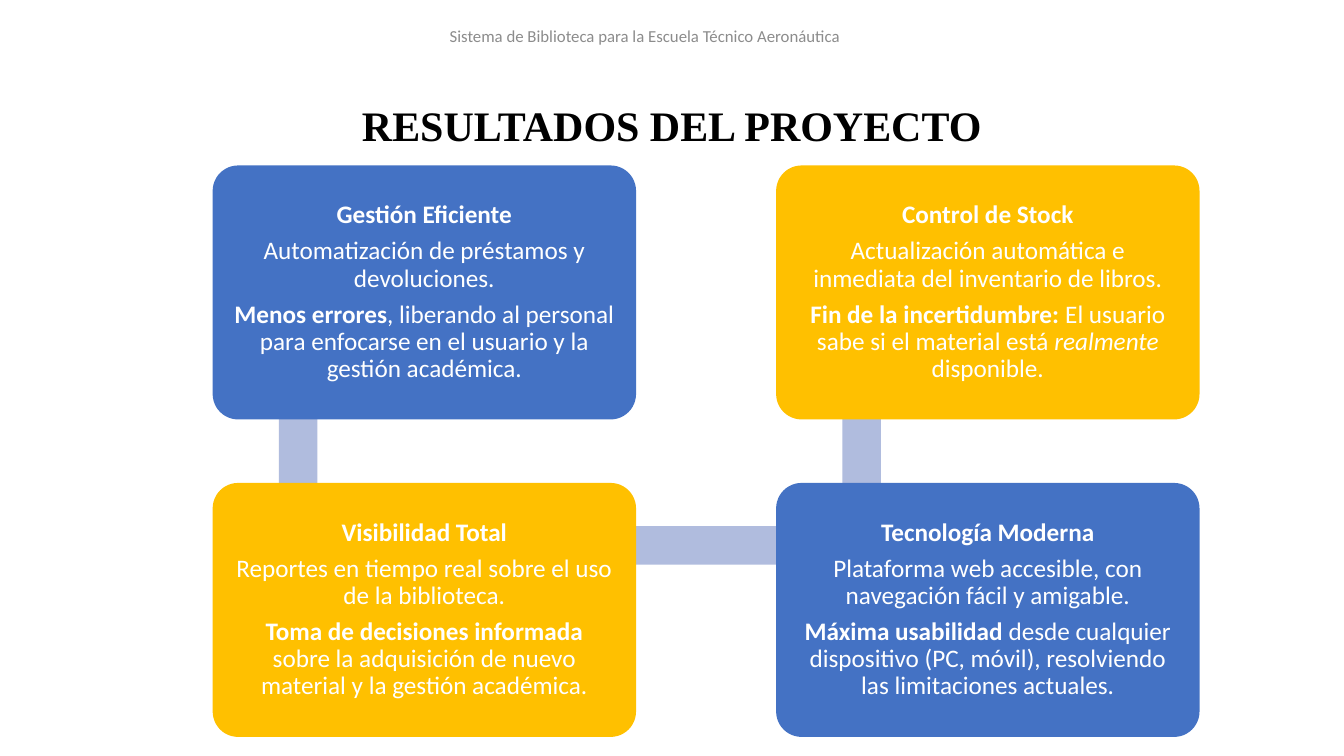
from pptx import Presentation
from pptx.dml.color import RGBColor
from pptx.enum.shapes import MSO_SHAPE
from pptx.enum.text import MSO_ANCHOR, PP_ALIGN
from pptx.util import Cm, Pt

# Content: text runs are (text, style), cards are (column, row, colour, paragraphs)
HEADER = "Sistema de Biblioteca para la Escuela Técnico Aeronáutica"
TITLE = "RESULTADOS DEL PROYECTO"
CARDS = [
    (0, 0, "blue", [
        [("Gestión Eficiente", "bold")],
        [("Automatización de préstamos y devoluciones.", "")],
        [("Menos errores", "bold"),
         (", liberando al personal para enfocarse en el usuario y la gestión académica.", "")],
    ]),
    (0, 1, "yellow", [
        [("Visibilidad Total", "bold")],
        [("Reportes en tiempo real sobre el uso de la biblioteca.", "")],
        [("Toma de decisiones informada", "bold"),
         (" sobre la adquisición de nuevo material y la gestión académica.", "")],
    ]),
    (1, 1, "blue", [
        [("Tecnología Moderna", "bold")],
        [("Plataforma web accesible, con navegación fácil y amigable.", "")],
        [("Máxima usabilidad", "bold"),
         (" desde cualquier dispositivo (PC, móvil), resolviendo las limitaciones actuales.", "")],
    ]),
    (1, 0, "yellow", [
        [("Control de Stock", "bold")],
        [("Actualización automática e inmediata del inventario de libros.", "")],
        [("Fin de la incertidumbre:", "bold"),
         (" El usuario sabe si el material está ", ""),
         ("realmente", "italic"),
         (" disponible.", "")],
    ]),
]
COLORS = {"blue": "4472C4", "yellow": "FFC000", "bar": "B0BCDE",
          "white": "FFFFFF", "black": "000000", "gray": "8C8C8C"}

# Card grid and connecting bars, in centimetres
LEFT, TOP = 5.36, 4.17
CARD_WIDTH, CARD_HEIGHT = 10.67, 6.4
COLUMN_STEP, ROW_STEP = 14.2, 8.0
BAR = 0.97
BAR_INSET_X, BAR_INSET_Y = 1.67, 1.09
CARD_MARGIN = Cm(0.36)


def color(name):
    return RGBColor.from_string(COLORS[name])


def set_font(font, name, size, color_name, bold=False):
    font.name, font.size, font.bold = name, Pt(size), bold
    font.color.rgb = color(color_name)


def add_block(slide, kind, left, top, width, height, fill):
    shape = slide.shapes.add_shape(kind, Cm(left), Cm(top), Cm(width), Cm(height))
    shape.shadow.inherit = False
    shape.fill.solid()
    shape.fill.fore_color.rgb = color(fill)
    shape.line.fill.background()
    return shape


def add_card(slide, column, row, fill, paragraphs):
    shape = add_block(slide, MSO_SHAPE.ROUNDED_RECTANGLE,
                      LEFT + column * COLUMN_STEP, TOP + row * ROW_STEP,
                      CARD_WIDTH, CARD_HEIGHT, fill)
    shape.adjustments[0] = 0.1
    frame = shape.text_frame
    frame.word_wrap = True
    frame.vertical_anchor = MSO_ANCHOR.MIDDLE
    frame.margin_left = frame.margin_right = CARD_MARGIN
    frame.margin_top = frame.margin_bottom = CARD_MARGIN
    for index, runs in enumerate(paragraphs):
        paragraph = frame.add_paragraph() if index else frame.paragraphs[0]
        paragraph.alignment = PP_ALIGN.CENTER
        paragraph.line_spacing = 0.9
        paragraph.space_after = Pt(6.3)
        for text, style in runs:
            run = paragraph.add_run()
            run.text = text
            set_font(run.font, "Calibri", 18, "white", style == "bold")
            run.font.italic = style == "italic"


def fill_line(shape, text, *font_settings):
    frame = shape.text_frame
    frame.word_wrap = True
    frame.vertical_anchor = MSO_ANCHOR.MIDDLE
    paragraph = frame.paragraphs[0]
    paragraph.text = text
    paragraph.alignment = PP_ALIGN.CENTER
    set_font(paragraph.font, *font_settings)


def main():
    presentation = Presentation()
    presentation.slide_width, presentation.slide_height = Cm(33.87), Cm(19.05)
    slide = presentation.slides.add_slide(presentation.slide_layouts[5])

    # Title and header
    title = slide.shapes.title
    title.left, title.top = Cm(0), Cm(2.36)
    title.width, title.height = presentation.slide_width, Cm(1.55)
    fill_line(title, TITLE, "Times New Roman", 30, "black", True)
    header = slide.shapes.add_textbox(Cm(10.54), Cm(0.48), Cm(11.43), Cm(0.86))
    fill_line(header, HEADER, "Calibri", 12, "gray")

    # Bars from card centre to card centre, behind the cards
    middle = TOP + CARD_HEIGHT / 2
    for column in range(2):
        add_block(slide, MSO_SHAPE.RECTANGLE, LEFT + column * COLUMN_STEP + BAR_INSET_X,
                  middle, BAR, ROW_STEP, "bar")
    add_block(slide, MSO_SHAPE.RECTANGLE, LEFT + CARD_WIDTH / 2,
              TOP + ROW_STEP + BAR_INSET_Y, COLUMN_STEP, BAR, "bar")

    # Cards
    for card in CARDS:
        add_card(slide, *card)

    presentation.save("out.pptx")


if __name__ == "__main__":
    main()
